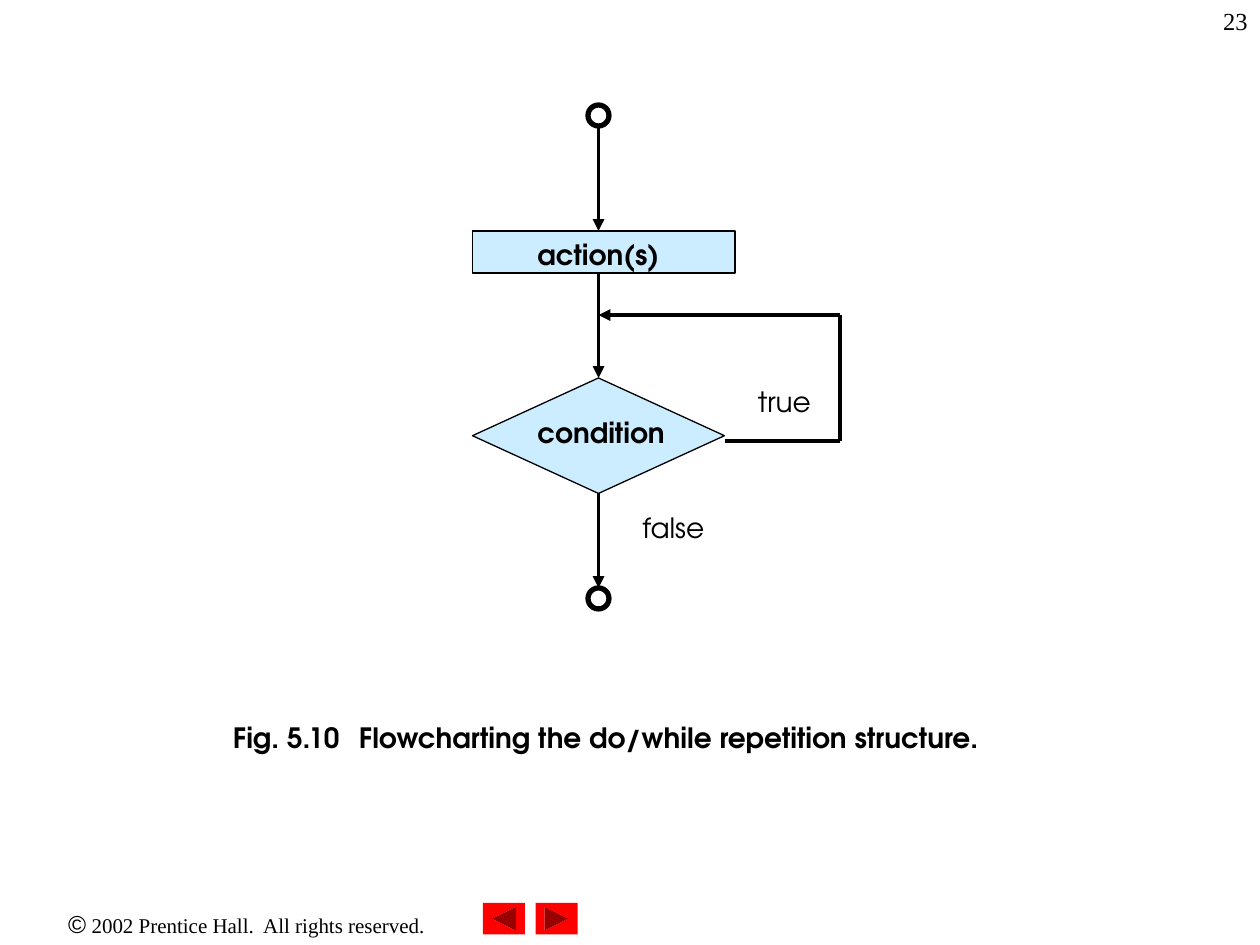
from lxml.etree import SubElement
from pptx import Presentation
from pptx.dml.color import RGBColor
from pptx.enum.shapes import MSO_CONNECTOR, MSO_SHAPE
from pptx.enum.text import PP_ALIGN
from pptx.oxml.ns import qn
from pptx.util import Inches, Pt

COLS, ROWS = 120, 90
BLACK, WHITE, SKY, RED = "000000", "FFFFFF", "CCECFF", "FF0000"
MAIN, SERIF, SANS = "TeX Gyre Adventor", "Times New Roman", "Arial"


def color(code):
    return RGBColor.from_string(code)


class Chart:
    """Draws on one slide; every place is (column, row) on a 120 x 90 grid."""

    def __init__(self, deck):
        self.slide = deck.slides.add_slide(deck.slide_layouts[6])
        self.shapes = self.slide.shapes
        self.wide = deck.slide_width / COLS
        self.high = deck.slide_height / ROWS

    def place(self, *grid):
        steps = (self.wide, self.high) * 2
        return [round(part * step) for part, step in zip(grid, steps)]

    def shape(self, kind, grid, fill, width=0, turn=0):
        item = self.shapes.add_shape(kind, *self.place(*grid))
        item.shadow.inherit = False
        item.rotation = turn
        item.fill.solid()
        item.fill.fore_color.rgb = color(fill)
        if width:
            item.line.color.rgb = color(BLACK)
            item.line.width = Pt(width)
        else:
            item.line.fill.background()

    def line(self, start, end, arrow=False):
        item = self.shapes.add_connector(
            MSO_CONNECTOR.STRAIGHT, *self.place(*start, *end))
        item.line.color.rgb = color(BLACK)
        item.line.width = Pt(2.25)
        if arrow:
            SubElement(item.line._ln, qn("a:tailEnd"), type="triangle")
        SubElement(item._element.spPr, qn("a:effectLst"))

    def text(self, grid, parts, align=PP_ALIGN.LEFT, tab=None):
        """Write one paragraph; parts are (words, font, size, bold)."""
        frame = self.shapes.add_textbox(*self.place(*grid)).text_frame
        frame.word_wrap = True
        para = frame.paragraphs[0]
        para.alignment = align
        if tab:
            stops = SubElement(para._p.get_or_add_pPr(), qn("a:tabLst"))
            SubElement(stops, qn("a:tab"), pos=str(Inches(tab)), algn="l")
        for words, font, size, bold in parts:
            run = para.add_run()
            run.text = words
            run.font.name = font
            run.font.size = Pt(size)
            run.font.bold = bold
            run.font.color.rgb = color(BLACK)

    def label(self, grid, words, bold=False):
        self.text(grid, [(words, MAIN, 16, bold)])


def main():
    deck = Presentation()
    deck.slide_width, deck.slide_height = Inches(10), Inches(7.5)
    chart = Chart(deck)
    mid, right = 57, 80

    chart.text((0, 86, 47, 4), [
        ("©", SANS, 14, False),
        (" 2002 Prentice Hall.  All rights reserved.", SERIF, 12, False),
    ], PP_ALIGN.CENTER)
    for col, turn in ((51, 0), (46, 180)):
        chart.shape(MSO_SHAPE.ACTION_BUTTON_FORWARD_OR_NEXT,
                    (col, 86, 4, 3), RED, turn=turn)

    for row in (10, 56):
        chart.shape(MSO_SHAPE.OVAL, (mid - 1, row, 2, 2), WHITE, 3)
    chart.shape(MSO_SHAPE.DIAMOND, (45, 36, 24, 11), SKY, 0.75)
    for top, end in ((12, 22), (26, 36), (47, 56)):
        chart.line((mid, top), (mid, end), arrow=True)
    chart.shape(MSO_SHAPE.RECTANGLE, (45, 22, 25, 4), SKY, 0.75)

    chart.line((69, 42), (right, 42))
    chart.line((right, 30), (right, 42))
    chart.line((right, 30), (mid, 30), arrow=True)

    chart.label((50, 22, 14.5, 4.4), "action(s)", bold=True)
    chart.label((50, 39, 15, 4.4), "condition", bold=True)
    chart.label((71, 36, 8, 4.4), "true")
    chart.label((60, 48, 9, 4.4), "false")

    caption = "Fig. 5.10\tFlowcharting the do/while repetition structure."
    chart.text((21, 68, 74, 4.4), [(caption, MAIN, 16, True)], tab=1)
    chart.text((95, 0, 25, 6), [("23", SERIF, 14, False)], PP_ALIGN.RIGHT)
    deck.save("out.pptx")


if __name__ == "__main__":
    main()
